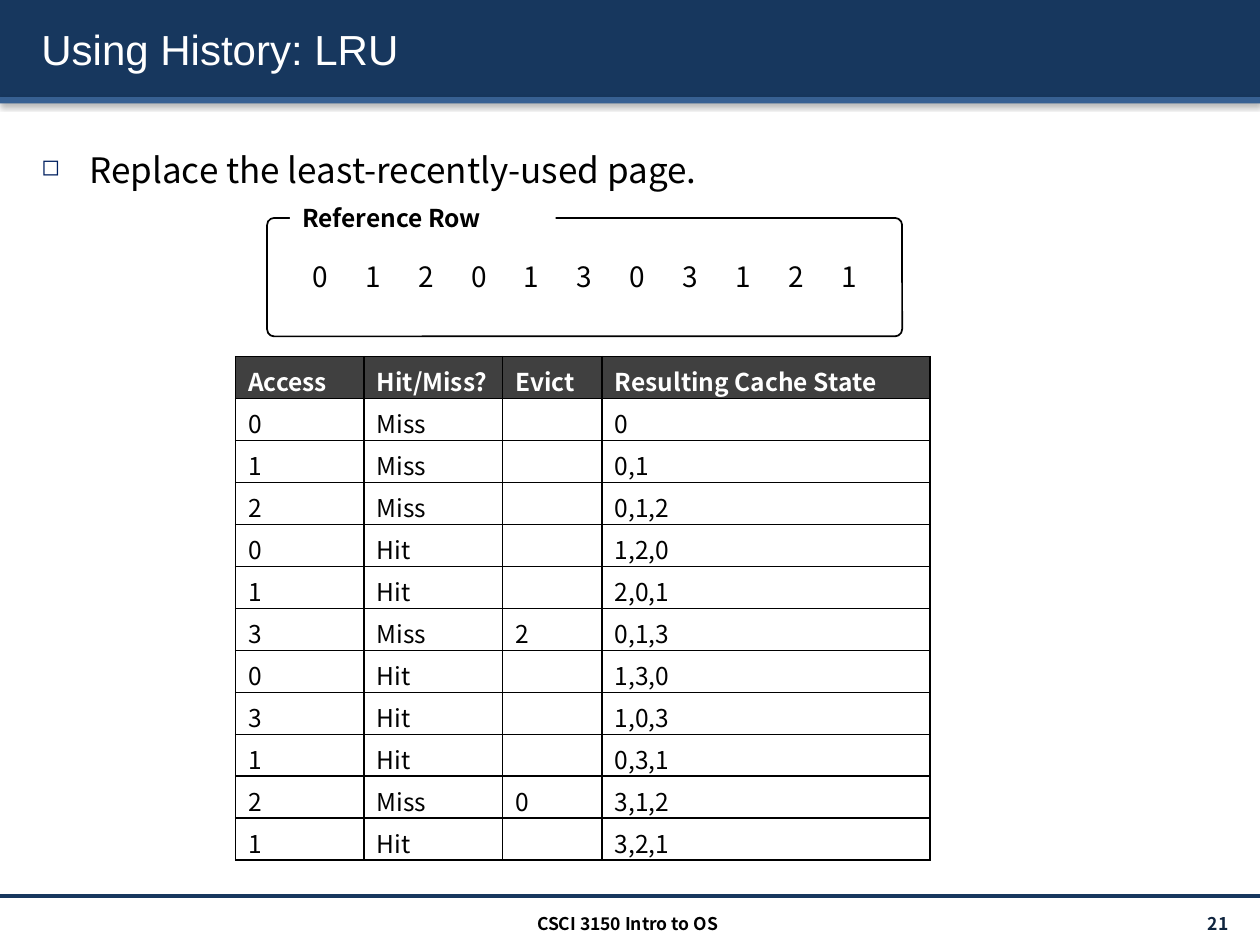
from lxml.etree import SubElement
from pptx import Presentation
from pptx.dml.color import RGBColor
from pptx.enum.shapes import MSO_CONNECTOR, MSO_SHAPE
from pptx.enum.text import MSO_ANCHOR, PP_ALIGN
from pptx.oxml.ns import qn
from pptx.util import Inches, Pt


def color(value):
    return RGBColor.from_string(value)


def add_shadow(properties, blur, distance, angle, opacity):
    effects = SubElement(properties, qn("a:effectLst"))
    outer = SubElement(effects, qn("a:outerShdw"), blurRad=str(Pt(blur)),
                       dist=str(Pt(distance)), dir=str(angle * 60000))
    black = SubElement(outer, qn("a:srgbClr"), val="000000")
    SubElement(black, qn("a:alpha"), val=str(opacity * 1000))


class LectureSlide:
    FONT = "Noto Sans CJK KR"
    BLACK = "000000"
    WHITE = "FFFFFF"
    NAVY = "17375E"
    HEADER = "404040"

    def __init__(self, slide):
        self.slide = slide

    def style(self, paragraph, size, fill=BLACK, bold=False, font=FONT):
        paragraph.font.size = Pt(size)
        paragraph.font.bold = bold
        paragraph.font.color.rgb = color(fill)
        paragraph.font.name = font

    def text(self, box, words, size, align=PP_ALIGN.LEFT, anchor=MSO_ANCHOR.TOP,
             side=0.1, **look):
        frame = self.slide.shapes.add_textbox(*map(Inches, box)).text_frame
        frame.word_wrap = True
        frame.vertical_anchor = anchor
        frame.margin_left = frame.margin_right = Inches(side)
        paragraph = frame.paragraphs[0]
        paragraph.text = words
        paragraph.alignment = align
        self.style(paragraph, size, **look)
        return paragraph

    def panel(self, box, fill, line=None, kind=MSO_SHAPE.RECTANGLE):
        panel = self.slide.shapes.add_shape(kind, *map(Inches, box))
        panel.shadow.inherit = False
        panel.fill.solid()
        panel.fill.fore_color.rgb = color(fill)
        if line:
            panel.line.color.rgb = color(line)
            panel.line.width = Pt(1)
        else:
            panel.line.fill.background()
        return panel

    def band(self, top, height, fill):
        properties = self.panel((0, top, 10, height), fill)._element.spPr
        properties.remove(properties.find(qn("a:effectLst")))
        add_shadow(properties, 3.1, 1.6, 90, 38)

    def rule(self, top):
        rule = self.slide.shapes.add_connector(
            MSO_CONNECTOR.STRAIGHT, 0, Inches(top), Inches(10), Inches(top))
        rule.line.color.rgb = color(self.NAVY)
        rule.line.width = Pt(2)
        SubElement(rule._element.spPr, qn("a:effectLst"))

    def title(self, words):
        heading = self.text((0.23, 0.07, 9.61, 0.64), words, 24, fill=self.WHITE,
                            font="Arial", anchor=MSO_ANCHOR.MIDDLE)
        add_shadow(heading.runs[0].font._element, 0, 2, 45, 100)

    def bullet(self, box, words):
        point = self.text(box, words, 20)
        point.line_spacing = 1.5
        point.space_before = Pt(4)
        properties = point._p.get_or_add_pPr()
        properties.set("marL", str(Inches(0.38)))
        properties.set("indent", str(-Inches(0.38)))
        defaults = properties.find(qn("a:defRPr"))
        tint = SubElement(properties, qn("a:buClr"))
        SubElement(tint, qn("a:srgbClr"), val="002060")
        SubElement(properties, qn("a:buSzPct"), val="65000")
        SubElement(properties, qn("a:buChar"), char="◻")
        properties.append(defaults)

    def cell(self, cell, words, is_header):
        cell.margin_top, cell.margin_bottom = Inches(0.05), 0
        paragraph = cell.text_frame.paragraphs[0]
        paragraph.text = words
        self.style(paragraph, 14, self.WHITE if is_header else self.BLACK, is_header)
        if not words:
            SubElement(paragraph._p, qn("a:endParaRPr"), sz="1400")
            SubElement(paragraph._p[-1], qn("a:latin"), typeface=self.FONT)
        properties = cell._tc.get_or_add_tcPr()
        for side in ("lnL", "lnR", "lnT", "lnB"):
            border = SubElement(properties, qn(f"a:{side}"), w=str(Pt(1)))
            ink = SubElement(border, qn("a:solidFill"))
            SubElement(ink, qn("a:srgbClr"), val=self.BLACK)
        if is_header:
            cell.fill.solid()
            cell.fill.fore_color.rgb = color(self.HEADER)
        else:
            cell.fill.background()

    def table(self, box, widths, rows):
        table = self.slide.shapes.add_table(
            len(rows), len(widths), *map(Inches, box)).table
        table.horz_banding = False
        for column, width in zip(table.columns, widths):
            column.width = Inches(width)
        for r, row in enumerate(rows):
            for c, words in enumerate(row):
                self.cell(table.cell(r, c), words, r == 0)


def main():
    deck = Presentation()
    deck.slide_width, deck.slide_height = Inches(10), Inches(7.5)
    page = LectureSlide(deck.slides.add_slide(deck.slide_layouts[6]))

    page.band(0, 0.77, page.NAVY)
    page.band(0.77, 0.05, "376092")
    page.rule(7.11)
    page.title("Using History: LRU")
    page.bullet((0.23, 0.96, 9.61, 6.02), "Replace the least-recently-used page.")
    page.text((8.71, 7.21, 1.17, 0.24), "21 ", 10, PP_ALIGN.RIGHT,
              MSO_ANCHOR.MIDDLE, fill="0F243E", bold=True)
    page.text((3.32, 7.2, 3.32, 0.24), "CSCI 3150 Intro to OS", 10,
              PP_ALIGN.CENTER, bold=True)

    frame = page.panel((2.12, 1.73, 5.04, 0.94), page.WHITE, page.BLACK,
                       MSO_SHAPE.ROUNDED_RECTANGLE)
    frame.adjustments[0] = 0.06
    label_box = (2.3, 1.56, 2.11, 0.34)
    page.panel(label_box, page.WHITE)
    page.text(label_box, "Reference Row", 14, bold=True)

    history = [
        ("0", "Miss", "", "0"),
        ("1", "Miss", "", "0,1"),
        ("2", "Miss", "", "0,1,2"),
        ("0", "Hit", "", "1,2,0"),
        ("1", "Hit", "", "2,0,1"),
        ("3", "Miss", "2", "0,1,3"),
        ("0", "Hit", "", "1,3,0"),
        ("3", "Hit", "", "1,0,3"),
        ("1", "Hit", "", "0,3,1"),
        ("2", "Miss", "0", "3,1,2"),
        ("1", "Hit", "", "3,2,1"),
    ]
    for position, (access, *_) in enumerate(history):
        page.text((2.3 + 0.42 * position, 2.01, 0.48, 0.37), access, 16,
                  PP_ALIGN.CENTER, MSO_ANCHOR.MIDDLE, side=0)
    headings = ("Access", "Hit/Miss?", "Evict", "Resulting Cache State")
    page.table((1.87, 2.83, 5.51, 4), (1.02, 1.1, 0.79, 2.6), [headings, *history])

    deck.save("out.pptx")


if __name__ == "__main__":
    main()
